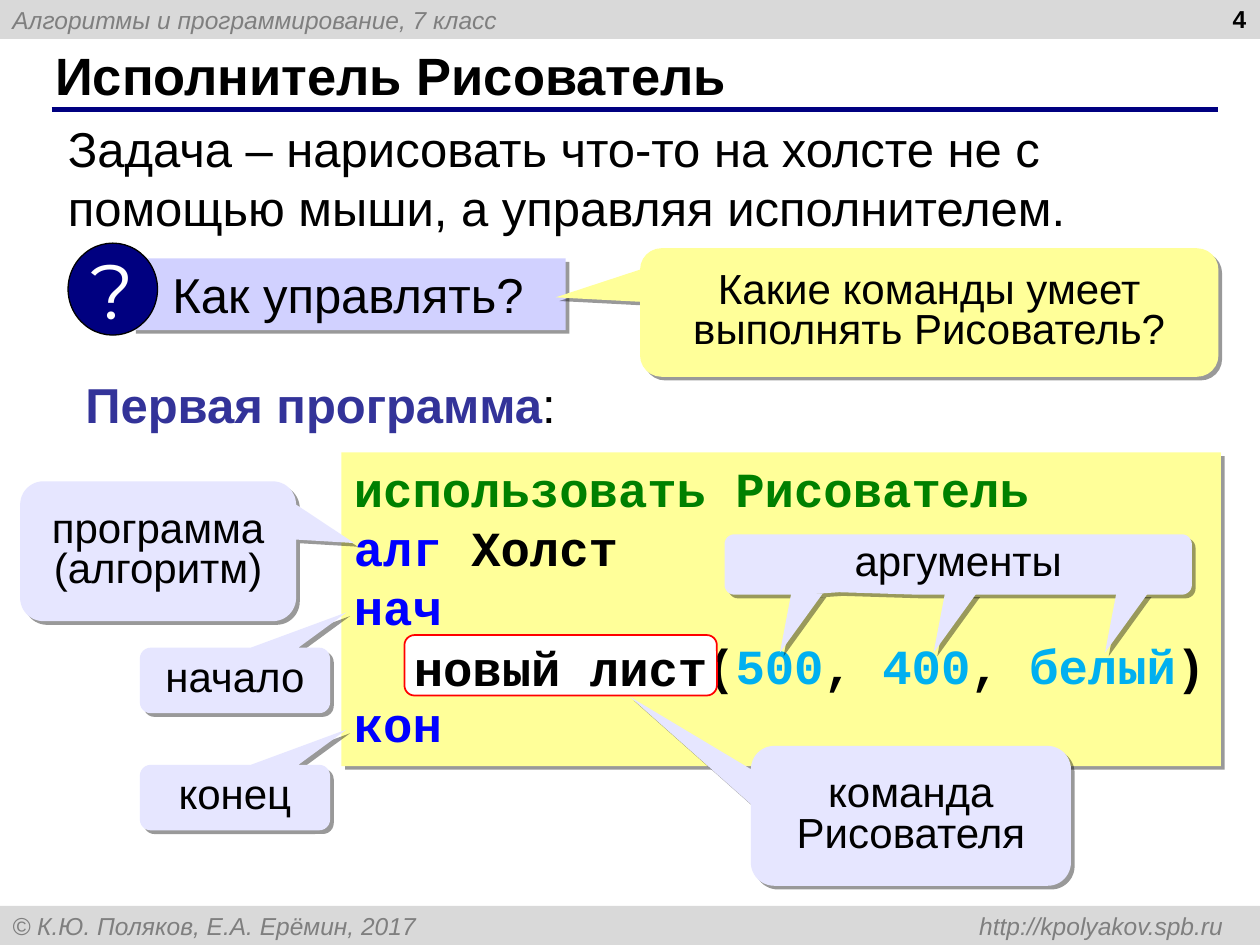
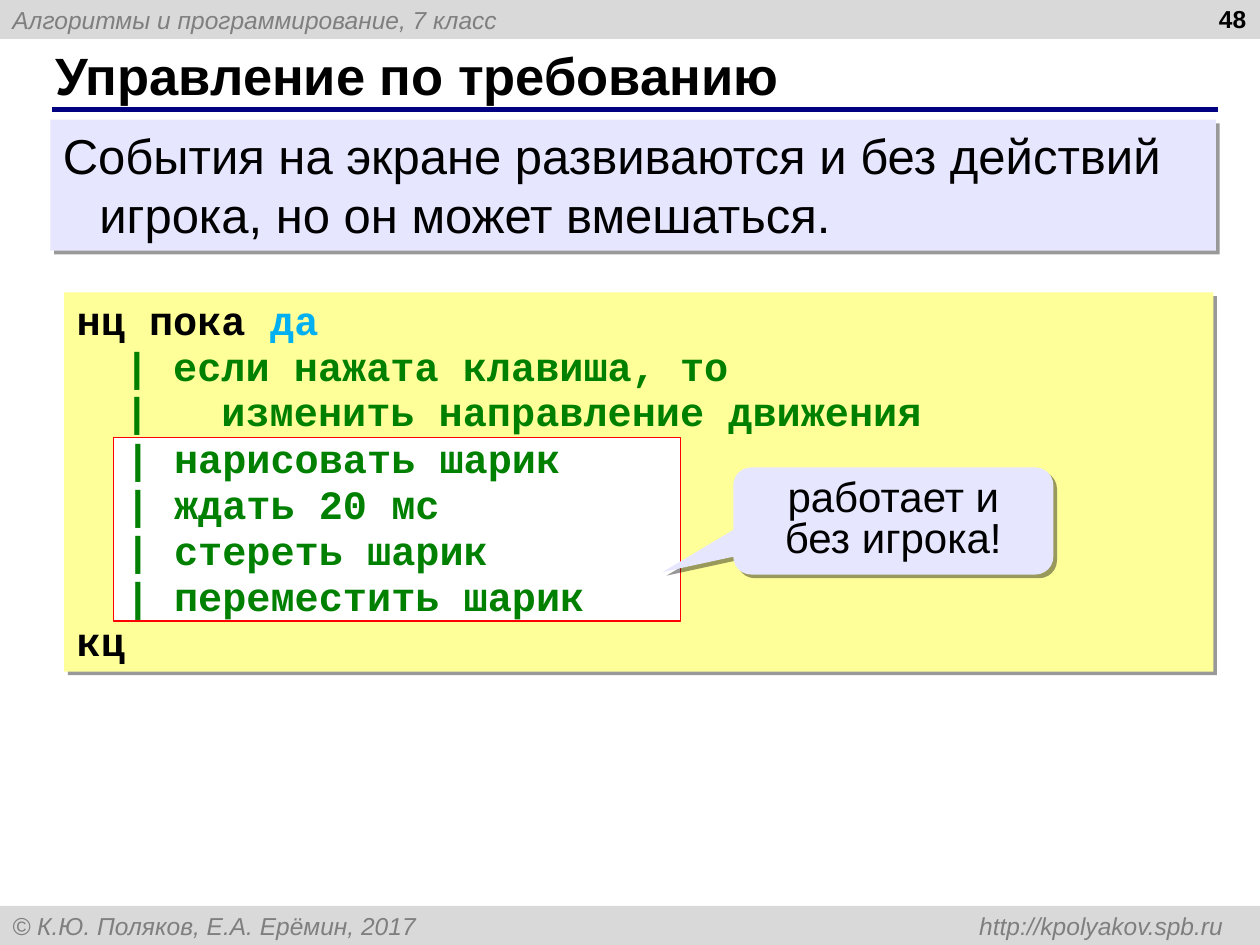
from lxml import etree
from pptx import Presentation
from pptx.dml.color import RGBColor
from pptx.enum.shapes import MSO_CONNECTOR, MSO_SHAPE
from pptx.enum.text import MSO_ANCHOR, PP_ALIGN
from pptx.oxml.ns import qn
from pptx.util import Inches, Pt

BLACK, WHITE, NAVY, RED = "000000", "FFFFFF", "000080", "FF0000"
BAND, BAND_TEXT = "D9D9D9", "7F7F7F"
LILAC, VIOLET, YELLOW = "E6E6FF", "D1D1FF", "FFFF99"
GREEN, BLUE, CYAN, INDIGO = "008000", "0000FF", "00B0F0", "333399"
SANS, MONO, ROUND = "Arial", "Courier New", "Montserrat"


def color(value):
    """Turn a hex string into a colour."""
    return RGBColor.from_string(value)


def add_xml(parent, tag, **attributes):
    """Append a DrawingML element and return it."""
    element = etree.SubElement(parent, qn(tag))
    for key, value in attributes.items():
        element.set(key, str(value))
    return element


def add_shadow(shape):
    """Give a shape a hard grey shadow to the lower right."""
    effects = shape._element.spPr.find(qn("a:effectLst"))
    shadow = add_xml(effects, "a:outerShdw", blurRad=0, dist=Pt(3), dir=45 * 60000,
                     algn="ctr", rotWithShape=0)
    tint = add_xml(shadow, "a:srgbClr", val=BLACK)
    add_xml(tint, "a:alpha", val=40000)


def paint(shape, fill, line=None, line_width=0.75, shadow=False):
    """Set the fill, outline and shadow of a shape."""
    shape.shadow.inherit = False
    shape.fill.solid()
    shape.fill.fore_color.rgb = color(fill)
    if line:
        shape.line.color.rgb = color(line)
        shape.line.width = Pt(line_width)
    else:
        shape.line.fill.background()
    if shadow:
        add_shadow(shape)


def write(shape, paragraphs, size, font=SANS, bold=False, italic=False, align=PP_ALIGN.LEFT,
          anchor=MSO_ANCHOR.TOP, spacing=None, wrap=True, margin_y=0.05):
    """Fill a shape with paragraphs, each a list of (text, colour) or (text, colour, bold)."""
    frame = shape.text_frame
    frame.word_wrap = wrap
    frame.vertical_anchor = anchor
    frame.margin_left = frame.margin_right = Inches(0.1)
    frame.margin_top = frame.margin_bottom = Inches(margin_y)
    for index, runs in enumerate(paragraphs):
        paragraph = frame.add_paragraph() if index else frame.paragraphs[0]
        paragraph.alignment = align
        if spacing:
            paragraph.line_spacing = spacing
        for text, ink, *weight in runs:
            run = paragraph.add_run()
            run.text = text
            run.font.name = font
            run.font.size = Pt(size)
            run.font.bold = weight[0] if weight else bold
            run.font.italic = italic
            run.font.color.rgb = color(ink)


def set_indent(shape, left, first=0):
    """Set the left margin and first-line indent of the first paragraph."""
    properties = shape.text_frame.paragraphs[0]._p.get_or_add_pPr()
    properties.set("marL", str(Inches(left)))
    properties.set("indent", str(Inches(first)))


def add_label(slide, box, paragraphs, size, **style):
    """Add a plain text box."""
    label = slide.shapes.add_textbox(*map(Inches, box))
    write(label, paragraphs, size, **style)


def add_panel(slide, box, fill, kind=MSO_SHAPE.RECTANGLE, **look):
    """Add a painted preset shape."""
    panel = slide.shapes.add_shape(kind, *map(Inches, box))
    paint(panel, fill, **look)
    return panel


def add_callout(slide, box, tip, text, fill=LILAC):
    """Add a rounded callout whose tail ends at the tip."""
    left, top, width, height = box
    callout = add_panel(slide, box, fill, MSO_SHAPE.ROUNDED_RECTANGULAR_CALLOUT, shadow=True)
    callout.adjustments[0] = (tip[0] - left) / width - 0.5
    callout.adjustments[1] = (tip[1] - top) / height - 0.5
    write(callout, [[(text, BLACK)]], 24, align=PP_ALIGN.CENTER,
          anchor=MSO_ANCHOR.MIDDLE, spacing=0.8)


def add_tail(slide, tip_x):
    """Add one more callout tail pointing down to an argument."""
    base, tip = Inches(4.71), Inches(5.18)
    left = Inches(tip_x + 0.09)
    outline = slide.shapes.build_freeform(left, base)
    outline.add_line_segments([(Inches(tip_x), tip), (Inches(tip_x + 0.34), base)], close=True)
    paint(outline.convert_to_shape(), LILAC, shadow=True)


def add_band(slide, top, text, right_tab=None):
    """Add a grey band across the slide."""
    band = add_panel(slide, (0, top, 10, 0.31), BAND)
    if right_tab:
        tabs = add_xml(band.text_frame.paragraphs[0]._p.get_or_add_pPr(), "a:tabLst")
        add_xml(tabs, "a:tab", pos=Inches(right_tab), algn="r")
    write(band, [[(text, BAND_TEXT)]], 14, italic=True, anchor=MSO_ANCHOR.MIDDLE)


def add_framed_slide(deck, title, number):
    """Add a slide with its bands, title, rule and number."""
    slide = deck.slides.add_slide(deck.slide_layouts[6])
    add_band(slide, 0, "Алгоритмы и программирование, 7 класс")
    add_band(slide, 7.19, "© К.Ю. Поляков, Е.А. Ерёмин, 2017 \thttp://kpolyakov.spb.ru", 9.61)
    rule = slide.shapes.add_connector(MSO_CONNECTOR.STRAIGHT,
                                      *map(Inches, (0.41, 0.87, 9.67, 0.87)))
    rule.line.color.rgb = color(NAVY)
    rule.line.width = Pt(3)
    add_xml(rule._element.spPr, "a:effectLst")
    add_label(slide, (0.34, 0.33, 9.16, 0.52), [[(title, BLACK)]], 30, bold=True,
              anchor=MSO_ANCHOR.MIDDLE)
    add_label(slide, (7.66, 0, 2.33, 0.31), [[(number, BLACK)]], 14, bold=True,
              align=PP_ALIGN.RIGHT, margin_y=0.03)
    return slide


def add_question(slide):
    """Add the question strip with its round mark."""
    strip = add_panel(slide, (1.05, 2.05, 3.44, 0.57), VIOLET, shadow=True)
    write(strip, [[("Как управлять?", BLACK)]], 28)
    set_indent(strip, 0.22)
    mark = add_panel(slide, (0.54, 1.93, 0.71, 0.73), NAVY, MSO_SHAPE.OVAL, line=BLACK)
    write(mark, [[("?", WHITE)]], 44, font=ROUND, align=PP_ALIGN.CENTER,
          anchor=MSO_ANCHOR.MIDDLE, wrap=False)


def build_painter(deck):
    """Build the slide about the drawing performer."""
    slide = add_framed_slide(deck, "Исполнитель Рисователь", "4")
    task = "Задача – нарисовать что-то на холсте не с помощью мыши, а управляя исполнителем."
    add_label(slide, (0.44, 0.89, 9.19, 1.04), [[(task, BLACK)]], 28)
    add_question(slide)
    add_callout(slide, (5.08, 1.97, 4.59, 1.02), (4.41, 2.36),
                "Какие команды умеет выполнять Рисователь?", YELLOW)
    add_label(slide, (0.58, 2.92, 3.94, 0.57),
              [[("Первая программа", INDIGO, True), (":", BLACK)]], 28, wrap=False)

    program = add_panel(slide, (2.71, 3.59, 6.98, 2.49), YELLOW, shadow=True)
    write(program, [
        [("использовать Рисователь", GREEN)],
        [("алг", BLUE), (" Холст", BLACK)],
        [("нач", BLUE)],
        [("  новый лист(", BLACK), ("500", CYAN), (", ", BLACK), ("400", CYAN),
         (", ", BLACK), ("белый", CYAN), (")", BLACK)],
        [("кон", BLUE)],
    ], 28, font=MONO, bold=True)

    add_callout(slide, (0.16, 3.82, 2.19, 1.11), (2.81, 4.31), "программа (алгоритм)")
    for top, text in ((5.14, "начало"), (6.07, "конец")):
        add_callout(slide, (1.11, top, 1.51, 0.52), (2.75, top - 0.28), text)
    command = add_panel(slide, (3.21, 5.04, 2.48, 0.48), WHITE, MSO_SHAPE.ROUNDED_RECTANGLE,
                        line=RED, line_width=1)
    write(command, [[("новый лист", BLACK)]], 28, font=MONO, bold=True,
          align=PP_ALIGN.CENTER, wrap=False, margin_y=0)
    add_callout(slide, (5.96, 5.92, 2.54, 1.11), (5, 5.53), "команда Рисователя")
    add_callout(slide, (5.75, 4.24, 3.71, 0.48), (6.66, 4.7), "аргументы")
    for tip_x in (6.19, 7.41, 8.77):
        add_tail(slide, tip_x)


def build_on_demand(deck):
    """Build the slide about control on demand."""
    slide = add_framed_slide(deck, "Управление по требованию", "48")
    summary = add_panel(slide, (0.4, 0.95, 9.25, 1.04), LILAC, shadow=True)
    write(summary, [[("События на экране развиваются и без действий игрока, "
                      "но он может вмешаться.", BLACK)]], 28)
    set_indent(summary, 0.29, -0.29)

    code = {"size": 23, "font": MONO, "bold": True, "spacing": 0.95}
    player_steps = ["| если нажата клавиша, то", "|   изменить направление движения"]
    own_steps = ["| нарисовать шарик", "| ждать 20 мс", "| стереть шарик", "| переместить шарик"]
    loop = add_panel(slide, (0.51, 2.32, 9.12, 3.01), YELLOW, shadow=True)
    write(loop, [
        [("нц пока ", BLACK), ("да", CYAN)],
        *[[("  " + step, GREEN)] for step in player_steps + own_steps],
        [("кц", BLACK)],
    ], **code)
    highlight = add_panel(slide, (0.9, 3.47, 4.5, 1.46), WHITE, line=RED)
    write(highlight, [[(step, GREEN)] for step in own_steps], margin_y=0, **code)
    add_callout(slide, (5.82, 3.71, 2.54, 0.85), (5.26, 4.54), "работает и без игрока!")


def main():
    """Build and save the deck."""
    deck = Presentation()
    deck.slide_width, deck.slide_height = Inches(10), Inches(7.5)
    build_painter(deck)
    build_on_demand(deck)
    deck.save("out.pptx")


if __name__ == "__main__":
    main()
